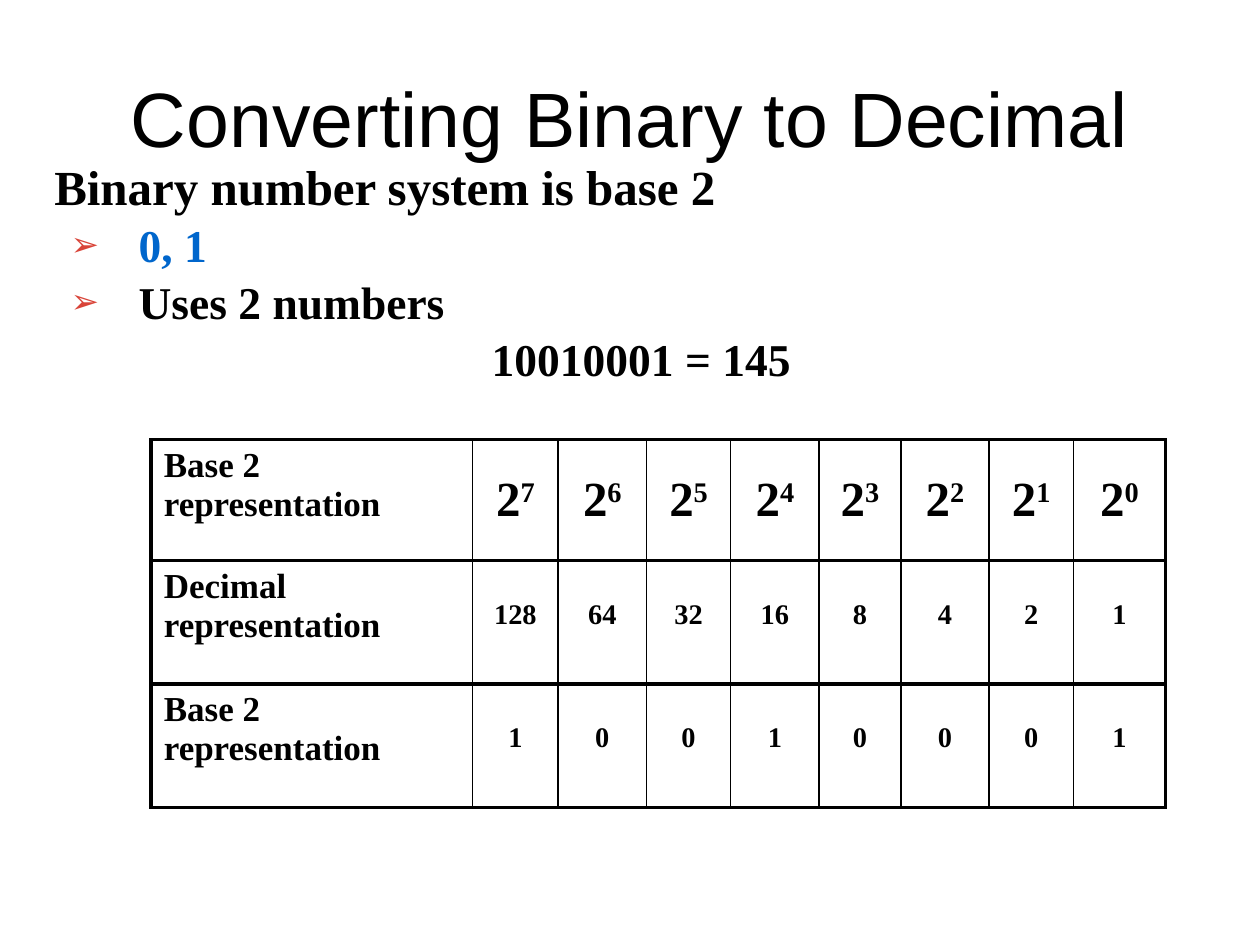
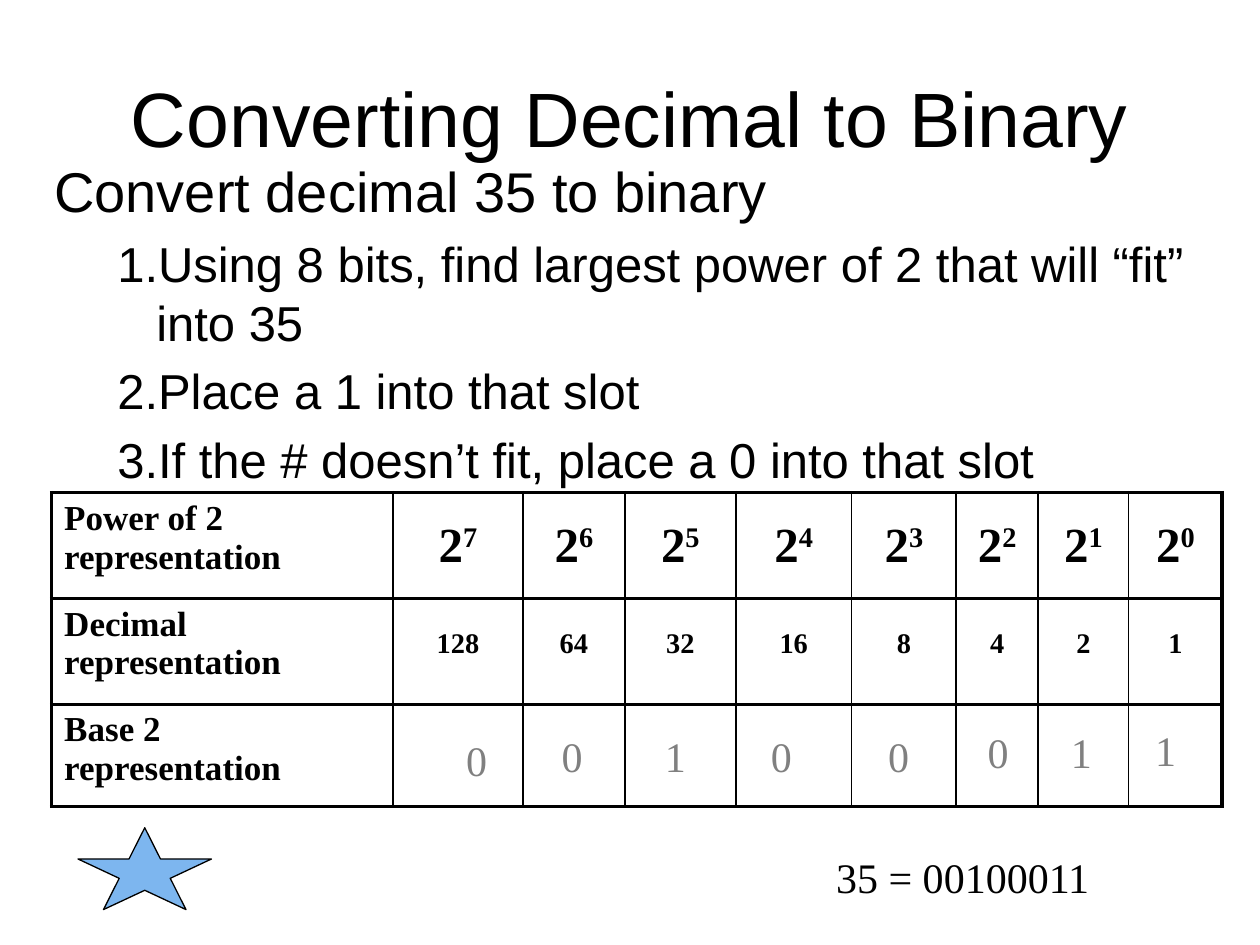
"""Build two slides on converting between binary and decimal."""
import dataclasses

import pptx
import pptx.dml.color
import pptx.enum.shapes
import pptx.enum.text
import pptx.oxml
import pptx.oxml.ns
import pptx.util

Pt = pptx.util.Pt
ALIGN = pptx.enum.text.PP_ALIGN
ANCHOR = pptx.enum.text.MSO_ANCHOR
AUTO_SIZE = pptx.enum.text.MSO_AUTO_SIZE


@dataclasses.dataclass(frozen=True)
class Theme:
    """Colours, fonts and sizes that the slides share."""
    ink: str = "000000"
    accent: str = "0066CC"
    arrow: str = "D94439"
    answer: str = "808080"
    star: str = "7DB6EF"
    sans: str = "Arial"
    serif: str = "Times New Roman"
    title_size: float = 44
    lead_size: float = 32
    large_size: float = 28
    item_size: float = 26
    answer_size: float = 24
    label_size: float = 20
    heavy_line: float = 2.25
    thin_line: float = 1
    star_line: float = 0.75
    title_box: tuple = (36, 21.6, 648, 90)
    body_left: float = 23.8
    body_top: float = 85.7
    body_width: float = 676


THEME = Theme()
ARROW_BULLET = (f'<a:buClr {{ns}}><a:srgbClr val="{THEME.arrow}"/></a:buClr>',
                '<a:buSzPct {ns} val="75000"/>', '<a:buChar {ns} char="➢"/>')
NUMBER_BULLET = ('<a:buFont {ns} typeface="+mj-lt"/>',
                 '<a:buAutoNum {ns} type="arabicPeriod"/>')
NO_BULLET = ('<a:buNone {ns}/>',)
PLACES = range(7, -1, -1)


def rgb(code):
    """Turn a hex code into a colour."""
    return pptx.dml.color.RGBColor.from_string(code)


def add_xml(parent, template):
    """Append one drawing element written as a template."""
    parent.append(pptx.oxml.parse_xml(template.format(ns=pptx.oxml.ns.nsdecls("a"))))


def place(part, box):
    """Move a part to a box given in points."""
    part.left, part.top, part.width, part.height = map(Pt, box)


def add_run(paragraph, text, size, font=THEME.serif, color=THEME.ink, bold=False, raised=False):
    """Add one formatted run."""
    run = paragraph.add_run()
    run.text = text
    run.font.size, run.font.name, run.font.bold = Pt(size), font, bold
    run.font.color.rgb = rgb(color)
    if raised:
        run.font._element.set("baseline", "30000")


def format_paragraph(paragraph, before, align=ALIGN.LEFT, indent=None, bullet=()):
    """Set relative spacing, alignment, hanging indent and bullet."""
    paragraph.alignment = align
    properties = paragraph._p.get_or_add_pPr()
    if indent:
        margin, hanging = indent
        properties.set("marL", str(Pt(margin)))
        properties.set("indent", str(-Pt(hanging)))
    add_xml(properties, f'<a:spcBef {{ns}}><a:spcPct val="{before * 1000}"/></a:spcBef>')
    for element in bullet:
        add_xml(properties, element)


def add_title(slide, text):
    """Fill the title placeholder."""
    title = slide.shapes.title
    place(title, THEME.title_box)
    frame = title.text_frame
    frame.auto_size = AUTO_SIZE.NONE
    frame.vertical_anchor = ANCHOR.MIDDLE
    frame.paragraphs[0].alignment = ALIGN.CENTER
    add_run(frame.paragraphs[0], text, THEME.title_size, THEME.sans)


def add_body(slide, height, lead, items):
    """Fill the body placeholder with a lead line and its items."""
    body = slide.placeholders[1]
    place(body, (THEME.body_left, THEME.body_top, THEME.body_width, height))
    frame = body.text_frame
    frame.auto_size = AUTO_SIZE.NONE
    for number, (text, layout, style) in enumerate([lead, *items]):
        paragraph = frame.add_paragraph() if number else frame.paragraphs[0]
        paragraph.level = min(number, 1)
        format_paragraph(paragraph, **layout)
        add_run(paragraph, text, **style)


def set_borders(cell, is_first, is_last):
    """Draw heavy rules outside and between rows, thin ones between columns."""
    widths = {"L": THEME.heavy_line if is_first else THEME.thin_line,
              "R": THEME.heavy_line if is_last else THEME.thin_line,
              "T": THEME.heavy_line, "B": THEME.heavy_line}
    properties = cell._tc.get_or_add_tcPr()
    for side, width in widths.items():
        add_xml(properties, f'<a:ln{side} {{ns}} w="{Pt(width)}"><a:solidFill>'
                            f'<a:srgbClr val="{THEME.ink}"/></a:solidFill></a:ln{side}>')
    cell.fill.background()


def add_place_table(slide, left, top, widths, heights, first_label, digits=""):
    """Add the table of powers of two, their values and the binary digits."""
    table = slide.shapes.add_table(len(heights), len(widths), Pt(left), Pt(top),
                                   Pt(sum(widths)), Pt(sum(heights))).table
    table.first_row = table.horz_banding = False
    for column, width in zip(table.columns, widths):
        column.width = Pt(width)
    for row, height in zip(table.rows, heights):
        row.height = Pt(height)
    rows = [(first_label, [("2", str(power)) for power in PLACES]),
            ("Decimal representation", [("", str(2 ** power)) for power in PLACES]),
            ("Base 2 representation", [("", digit) for digit in digits])]
    for row, (label, values) in zip(table.rows, rows):
        for number, cell in enumerate(row.cells):
            set_borders(cell, number == 0, number == len(widths) - 1)
        label_cell, *value_cells = row.cells
        paragraph = label_cell.text_frame.paragraphs[0]
        format_paragraph(paragraph, 20)
        add_run(paragraph, label, THEME.label_size, bold=True)
        for cell, (base, raised) in zip(value_cells, values):
            cell.vertical_anchor = ANCHOR.MIDDLE
            paragraph = cell.text_frame.paragraphs[0]
            format_paragraph(paragraph, 20, ALIGN.CENTER)
            if base:
                add_run(paragraph, base, THEME.large_size, bold=True)
            add_run(paragraph, raised, THEME.large_size, bold=True, raised=True)


def add_note(slide, box, text, color=THEME.ink, align=ALIGN.LEFT):
    """Add a single line in a text box."""
    note = slide.shapes.add_textbox(*map(Pt, box))
    frame = note.text_frame
    frame.word_wrap = True
    frame.auto_size = AUTO_SIZE.SHAPE_TO_FIT_TEXT
    format_paragraph(frame.paragraphs[0], 50, align)
    add_run(frame.paragraphs[0], text, THEME.answer_size, color=color)


def add_answer_digits(slide, left, top, digits):
    """Set the answer digits over the last row of the table at left, top."""
    offsets = [(229.7, 134.7), (284.4, 132.5), (343.4, 132.5), (403.9, 132.5),
               (470.9, 132.5), (527.8, 130.3), (575.3, 130.3), (623.5, 128.9)]
    for digit, (across, down) in zip(digits, offsets):
        add_note(slide, (left + across, top + down, 27.4, 36), digit, THEME.answer)


def add_star(slide, box):
    """Add the star below the table."""
    star = slide.shapes.add_shape(pptx.enum.shapes.MSO_SHAPE.STAR_5_POINT, *map(Pt, box))
    star.shadow.inherit = False
    star.fill.solid()
    star.fill.fore_color.rgb = rgb(THEME.star)
    star.line.color.rgb = rgb(THEME.ink)
    star.line.width = Pt(THEME.star_line)


def build_binary_to_decimal(slide):
    """Show how a binary number becomes decimal."""
    add_title(slide, "Converting Binary to Decimal")
    item = dict(before=5, indent=(48.2, 38.9))
    arrow = dict(item, bullet=ARROW_BULLET)
    style = dict(size=THEME.item_size, bold=True)
    lead = ("Binary number system is base 2",
            dict(before=20, indent=(41.8, 41.8), bullet=NO_BULLET),
            dict(size=THEME.large_size, bold=True))
    add_body(slide, 374.4, lead, [
        ("0, 1", arrow, dict(style, color=THEME.accent)),
        ("Uses 2 numbers", arrow, style),
        ("10010001 = 145", dict(item, align=ALIGN.CENTER, bullet=NO_BULLET), style)])
    add_place_table(slide, 86.4, 251.3,
                    [183.6, 49, 50.4, 48.2, 50.4, 46.8, 50.4, 48.2, 52.6],
                    [69.1, 70.6, 70.6], "Base 2 representation", "10010001")


def build_decimal_to_binary(slide):
    """Show how a decimal number becomes binary."""
    add_title(slide, "Converting Decimal to Binary")
    step = dict(before=20, indent=(58.3, 22.3), bullet=NUMBER_BULLET)
    style = dict(size=THEME.large_size, font=THEME.sans)
    lead = ("Convert decimal 35 to binary",
            dict(before=20, indent=(27.4, 27.4), bullet=NO_BULLET),
            dict(size=THEME.lead_size, font=THEME.sans))
    steps = ["Using 8 bits, find largest power of 2 that will “fit” into 35",
             "Place a 1 into that slot",
             "If the # doesn’t fit, place a 0 into that slot"]
    add_body(slide, 156.2, lead, [(text, step, style) for text in steps])
    left, top = 29.5, 281.5
    add_place_table(slide, left, top,
                    [195.1, 74.2, 58.3, 63.4, 66.2, 59.8, 46.8, 51.8, 53.3],
                    [60.5, 60.5, 58.3], "Power of 2 representation")
    add_star(slide, (44.6, 473, 76.3, 46.8))
    add_answer_digits(slide, left, top, "00100011")
    add_note(slide, (406.1, 483.1, 288, 36), "35 = 00100011", align=ALIGN.CENTER)


def main():
    """Build and save the presentation."""
    deck = pptx.Presentation()
    deck.slide_width, deck.slide_height = Pt(720), Pt(540)
    for build in (build_binary_to_decimal, build_decimal_to_binary):
        build(deck.slides.add_slide(deck.slide_layouts[1]))
    deck.save("out.pptx")


if __name__ == "__main__":
    main()
